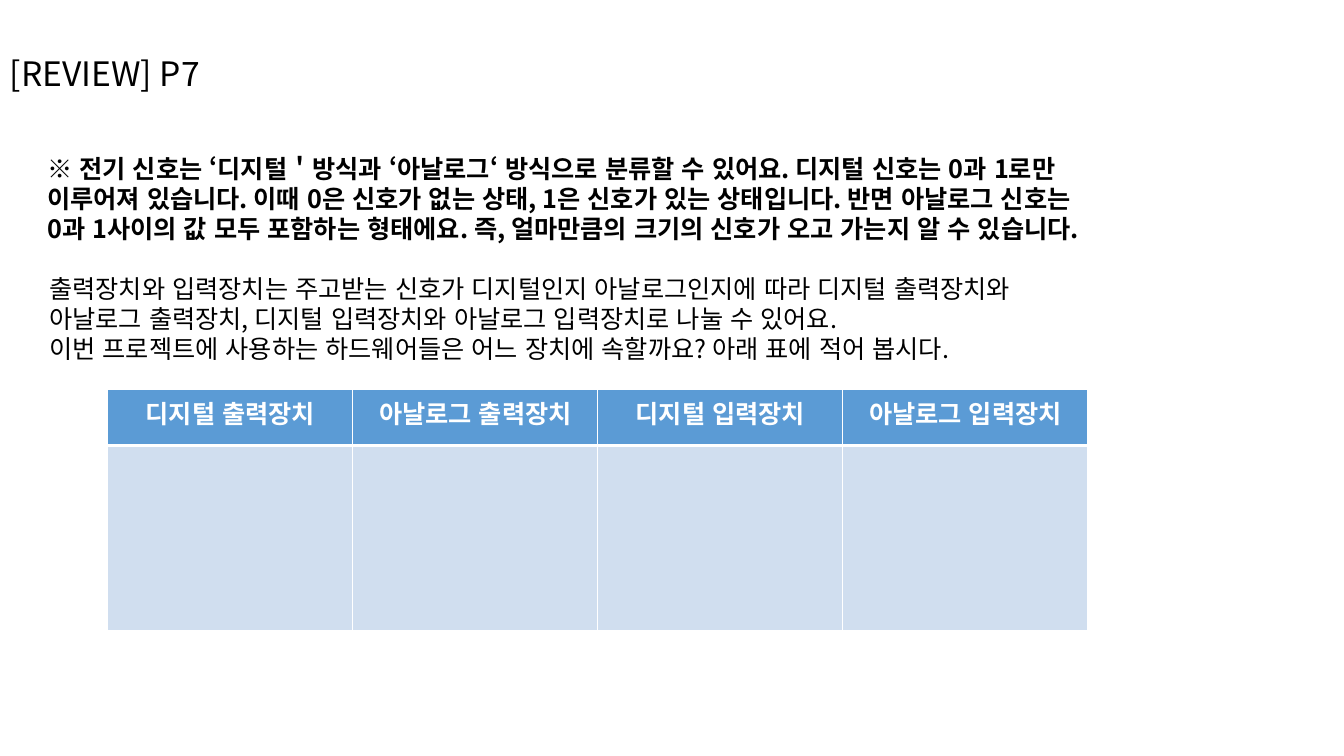
import pptx
import pptx.dml.color
import pptx.enum.lang
import pptx.enum.text
import pptx.oxml
import pptx.oxml.ns
import pptx.util

Inches = pptx.util.Inches
Pt = pptx.util.Pt
BLACK = pptx.dml.color.RGBColor(0x00, 0x00, 0x00)
WHITE = pptx.dml.color.RGBColor(0xFF, 0xFF, 0xFF)
HEADER_BLUE = pptx.dml.color.RGBColor(0x5B, 0x9B, 0xD5)
ANSWER_BLUE = pptx.dml.color.RGBColor(0xD0, 0xDE, 0xEF)
KOREAN_FONT = "Noto Sans CJK KR"
HEADER_FONT = "Arial"

SIGNAL_LINES = [
    "※ 전기 신호는 ‘디지털＇방식과 ‘아날로그‘ 방식으로 분류할 수 있어요. 디지털 신호는 0과 1로만",
    "이루어져 있습니다. 이때 0은 신호가 없는 상태, 1은 신호가 있는 상태입니다. 반면 아날로그 신호는",
    "0과 1사이의 값 모두 포함하는 형태에요. 즉, 얼마만큼의 크기의 신호가 오고 가는지 알 수 있습니다.",
]
QUESTION_LINES = [
    "출력장치와 입력장치는 주고받는 신호가 디지털인지 아날로그인지에 따라 디지털 출력장치와",
    "아날로그 출력장치, 디지털 입력장치와 아날로그 입력장치로 나눌 수 있어요.",
    "이번 프로젝트에 사용하는 하드웨어들은 어느 장치에 속할까요? 아래 표에 적어 봅시다.",
]
DEVICE_KINDS = ["디지털 출력장치", "아날로그 출력장치", "디지털 입력장치", "아날로그 입력장치"]


def style_text(text_frame, size, color, bold=False, font=KOREAN_FONT):
    for paragraph in text_frame.paragraphs:
        for run in paragraph.runs:
            run.font.name = font
            run.font.size = Pt(size)
            run.font.bold = bold
            run.font.color.rgb = color
            run.font.language_id = pptx.enum.lang.MSO_LANGUAGE_ID.KOREAN
            latin = run.font._element.find(pptx.oxml.ns.qn("a:latin"))
            latin.addnext(pptx.oxml.parse_xml(
                f'<a:ea {pptx.oxml.ns.nsdecls("a")} typeface="{KOREAN_FONT}"/>'))


def add_text(slide, left, top, width, height, lines, size, bold=False):
    box = slide.shapes.add_textbox(Inches(left), Inches(top), Inches(width), Inches(height))
    box.text_frame.word_wrap = True
    box.text_frame.text = "\n".join(lines)
    style_text(box.text_frame, size, BLACK, bold)
    return box.text_frame


def set_borders(cell, **points):
    properties = cell._tc.get_or_add_tcPr()
    for position, side in enumerate("LRTB"):
        width = Pt(points.get(side, 1))
        properties.insert(position, pptx.oxml.parse_xml(
            f'<a:ln{side} {pptx.oxml.ns.nsdecls("a")} w="{width}">'
            f'<a:solidFill><a:srgbClr val="{WHITE}"/></a:solidFill></a:ln{side}>'))


def fill_cell(cell, color):
    cell.fill.solid()
    cell.fill.fore_color.rgb = color


def add_device_table(slide):
    table = slide.shapes.add_table(
        2, len(DEVICE_KINDS), Inches(1.07), Inches(3.86), Inches(9.72), Inches(2.4)).table
    table.rows[0].height = Inches(0.56)
    table.rows[1].height = Inches(1.84)
    for column, device_kind in enumerate(DEVICE_KINDS):
        header, answer = table.cell(0, column), table.cell(1, column)
        header.text_frame.text = device_kind
        header.text_frame.paragraphs[0].alignment = pptx.enum.text.PP_ALIGN.CENTER
        style_text(header.text_frame, 18, WHITE, True, HEADER_FONT)
        fill_cell(header, HEADER_BLUE)
        fill_cell(answer, ANSWER_BLUE)
        set_borders(header, B=3)
        set_borders(answer, T=3)


def main():
    presentation = pptx.Presentation()
    presentation.slide_width = Inches(13.33)
    presentation.slide_height = Inches(7.5)
    slide = presentation.slides.add_slide(presentation.slide_layouts[6])
    title = add_text(slide, 0, 0.52, 11.5, 1.45, ["[REVIEW] P7"], 24)
    title.paragraphs[0].line_spacing = 0.9
    add_text(slide, 0.37, 1.47, 11.54, 1.01, SIGNAL_LINES, 18, bold=True)
    add_text(slide, 0.39, 2.66, 10.85, 1.01, QUESTION_LINES, 18)
    add_device_table(slide)
    presentation.save("out.pptx")


if __name__ == "__main__":
    main()
